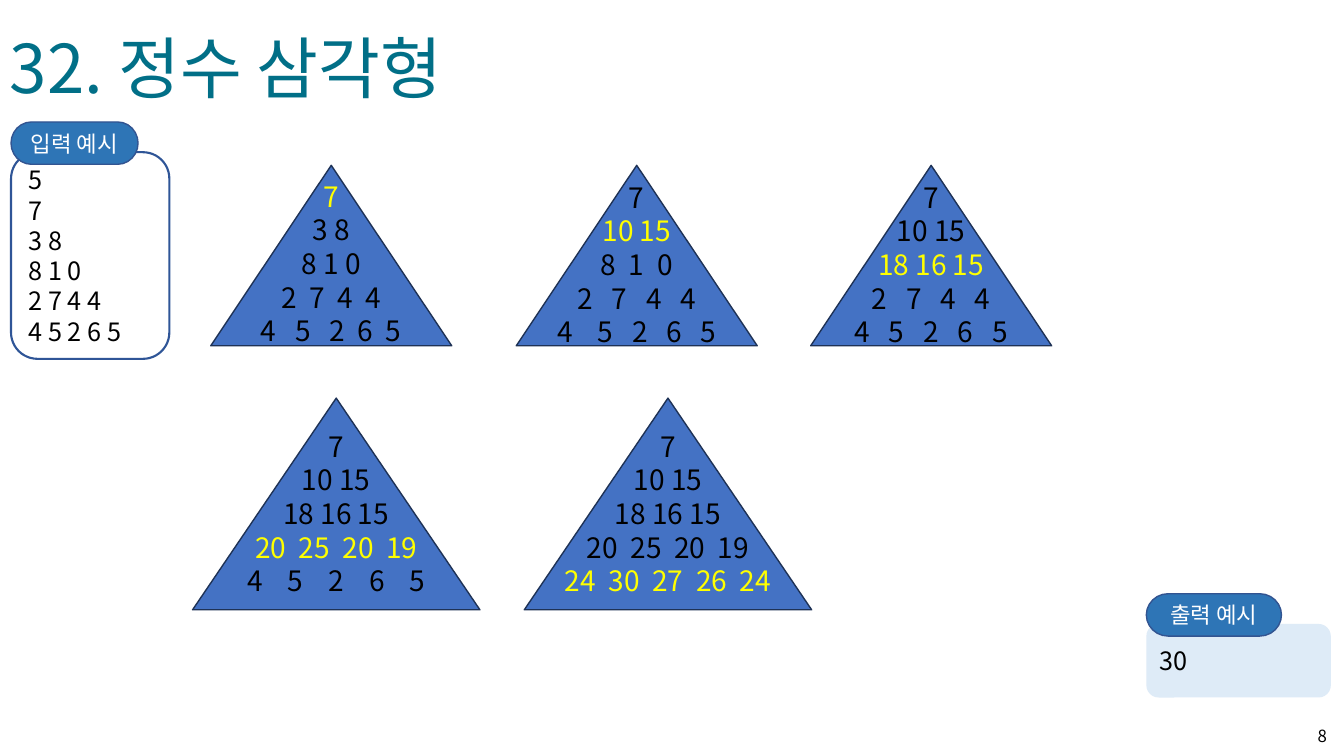
import pptx
import pptx.util
import pptx.dml.color
import pptx.enum.shapes
import pptx.enum.text

Inches = pptx.util.Inches
Pt = pptx.util.Pt
RGBColor = pptx.dml.color.RGBColor
SHAPE = pptx.enum.shapes.MSO_SHAPE
ALIGN = pptx.enum.text.PP_ALIGN
ANCHOR = pptx.enum.text.MSO_ANCHOR

FONT = "Noto Sans CJK KR"
TEAL = RGBColor(0x01, 0x6F, 0x87)
BLACK = RGBColor(0, 0, 0)
WHITE = RGBColor(0xFF, 0xFF, 0xFF)
YELLOW = RGBColor(0xFF, 0xFF, 0)
NAVY = RGBColor(0x2F, 0x55, 0x97)
PILL_BLUE = RGBColor(0x2E, 0x75, 0xB6)
PILL_EDGE = RGBColor(0x32, 0x54, 0x91)
PALE_BLUE = RGBColor(0xDE, 0xEB, 0xF7)
BLUE = RGBColor(0x44, 0x72, 0xC4)
DARK_BLUE = RGBColor(0x1E, 0x32, 0x56)

TITLE = "32. 정수 삼각형"
PAGE = "8"
INPUT_LINES = ["5", "7", "3 8", "8 1 0", "2 7 4 4", "4 5 2 6 5"]
OUTPUT_LINES = ["30"]
START = ["7", "3 8", "8 1 0", "2 7 4 4", "4 5 2 6 5"]
SUMS = ["7", "10 15", "18 16 15", "20 25 20 19", "24 30 27 26 24"]

SMALL, LARGE = (2.39, 1.79), (2.85, 2.1)
TEXT_W, TEXT_H = 2.75, 1.79
SPACE_PT = 4.48
# placeholder
TRIANGLES = [
    (2.09, 1.64, SMALL, 1.73, [[], [1], [1, 1], [2, 2, 2], [3, 3, 2, 2]]),
    (5.12, 1.64, SMALL, 1.74, [[], [1], [2, 2], [3, 3, 3], [4, 3, 3, 3]]),
    (8.04, 1.64, SMALL, 1.74, [[], [1], [1, 1], [3, 3, 3], [3, 3, 3, 3]]),
    (1.91, 3.95, LARGE, 4.21, [[], [1], [1, 1], [2, 2, 2], [4, 4, 4, 4]]),
    (5.2, 3.95, LARGE, 4.21, [[], [1], [1, 1], [2, 2, 2], [2, 2, 2, 2]]),
]

prs = pptx.Presentation()
prs.slide_width, prs.slide_height = Inches(13.33), Inches(7.5)
s = prs.slides.add_slide(prs.slide_layouts[6])


def add_run(p, text, size, color):
    r = p.add_run()
    r.text = text
    r.font.size = Pt(size)
    r.font.name = FONT
    r.font.color.rgb = color
    rpr = r.font._element
    ea = rpr.makeelement(pptx.oxml.ns.qn("a:ea"), {"typeface": FONT})
    rpr.find(pptx.oxml.ns.qn("a:latin")).addnext(ea)
    return r


def paragraphs(tf, count, align):
    for i in range(count):
        p = tf.paragraphs[0] if i == 0 else tf.add_paragraph()
        p.alignment = align
        yield p


def write(sp, lines, size, color, align=ALIGN.LEFT, anchor=ANCHOR.MIDDLE, wrap=True):
    tf = sp.text_frame
    tf.word_wrap = wrap
    tf.vertical_anchor = anchor
    for p, line in zip(paragraphs(tf, len(lines), align), lines):
        add_run(p, line, size, color)


def add_box(x, y, w, h):
    return s.shapes.add_textbox(Inches(x), Inches(y), Inches(w), Inches(h))


def add_shape(kind, x, y, w, h, fill, edge=None, width=1):
    sp = s.shapes.add_shape(kind, Inches(x), Inches(y), Inches(w), Inches(h))
    sp.shadow.inherit = False
    sp.fill.solid()
    sp.fill.fore_color.rgb = fill
    if edge is None:
        sp.line.fill.background()
    else:
        sp.line.color.rgb = edge
        sp.line.width = Pt(width)
    return sp


def add_example(label, lines, x, y, w, h, pill_w, fill, edge):
    panel = add_shape(SHAPE.ROUNDED_RECTANGLE, x, y + 0.3, w, h, fill, edge, 1.5)
    write(panel, lines, 18, BLACK)
    pill = add_shape(SHAPE.FLOWCHART_TERMINATOR, x, y, pill_w, 0.42, PILL_BLUE, PILL_EDGE)
    write(pill, [label], 16, WHITE, ALIGN.CENTER)


def add_triangle(step, x, y, size, text_y, gaps):
    w, h = size
    add_shape(SHAPE.ISOSCELES_TRIANGLE, x, y, w, h, BLUE, DARK_BLUE)
    tf = add_box(x + (w - TEXT_W) / 2, text_y, TEXT_W, TEXT_H).text_frame
    tf.word_wrap = True
    rows = SUMS[:step + 1] + START[step + 1:]
    for i, p in enumerate(paragraphs(tf, len(rows), ALIGN.CENTER)):
        color = YELLOW if i == step else BLACK
        for j, number in enumerate(rows[i].split()):
            if j:
                gap = add_run(p, " ", 20, color)
                extra = round((gaps[i][j - 1] - 1) * SPACE_PT * 100)
                gap.font._element.set("spc", str(extra))
            add_run(p, number, 20, color)


write(add_box(0, 0.21, 4.83, 0.91), [TITLE], 48, TEAL, anchor=ANCHOR.TOP, wrap=False)
write(add_box(12.69, 7.1, 0.57, 0.4), [PAGE], 12, BLACK, ALIGN.RIGHT)
add_example("입력 예시", INPUT_LINES, 0.11, 1.21, 1.57, 2.05, 1.26, WHITE, NAVY)
add_example("출력 예시", OUTPUT_LINES, 11.37, 5.89, 1.83, 0.73, 1.34, PALE_BLUE, None)
for step, triangle in enumerate(TRIANGLES):
    add_triangle(step, *triangle)

prs.save("out.pptx")
